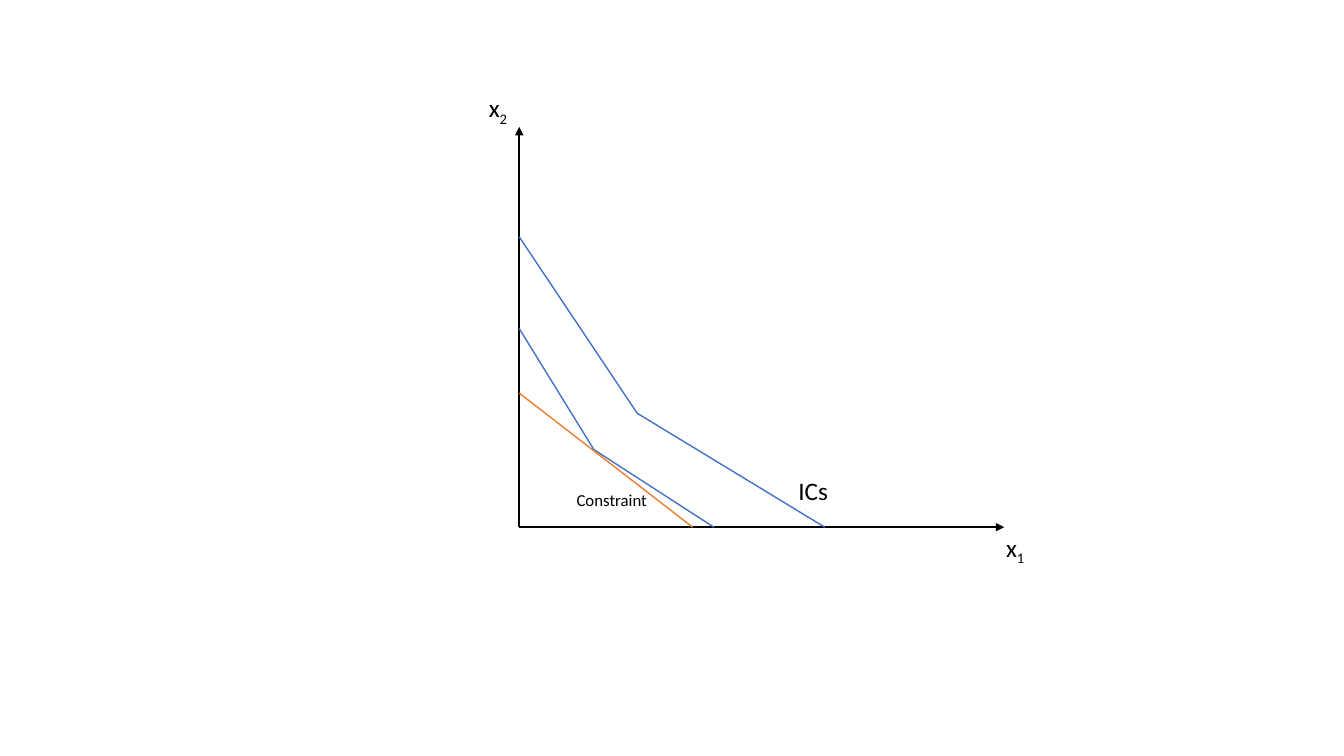
from itertools import pairwise

from lxml import etree
from pptx import Presentation
from pptx import util as u
from pptx.dml.color import RGBColor
from pptx.enum import shapes, text
from pptx.oxml import ns

BLACK = RGBColor(0x00, 0x00, 0x00)
BLUE = RGBColor(0x44, 0x72, 0xC4)
ORANGE = RGBColor(0xED, 0x7D, 0x31)
FONT = "Calibri"

# Content: every curve is a chain of points, in inches
ORIGIN = (5.15, 5.23)
ORIGIN_X, ORIGIN_Y = ORIGIN
AXIS_ENDS = [(ORIGIN_X, 1.26), (9.96, ORIGIN_Y)]
INDIFFERENCE_CURVES = [
    [(ORIGIN_X, 3.26), (5.89, 4.46), (7.08, ORIGIN_Y)],
    [(ORIGIN_X, 2.35), (6.32, 4.1), (8.18, ORIGIN_Y)],
]
CONSTRAINT = [(ORIGIN_X, 3.9), (6.87, ORIGIN_Y)]

# Label text, subscript, (left, top, width, height), size in points
LABELS = [
    ("x", "1", (9.88, 5.23, 0.4, 0.4), 18),
    ("x", "2", (4.75, 0.87, 0.4, 0.4), 18),
    ("ICs", "", (7.82, 4.67, 0.5, 0.4), 18),
    ("Constraint", "", (5.62, 4.81, 0.91, 0.3), 12),
]


def add_line(slide, start, end, color, width=1, arrow=False):
    points = [u.Inches(value) for value in (*start, *end)]
    line = slide.shapes.add_connector(shapes.MSO_CONNECTOR.STRAIGHT, *points)
    line.line.color.rgb = color
    line.line.width = u.Pt(width)
    if arrow:
        outline = line.line._get_or_add_ln()
        etree.SubElement(outline, ns.qn("a:tailEnd"), type="triangle")
    etree.SubElement(line._element.spPr, ns.qn("a:effectLst"))


def add_label(slide, wording, area, size=18, subscript="", color=BLACK):
    box = slide.shapes.add_textbox(*[u.Inches(value) for value in area])
    frame = box.text_frame
    frame.word_wrap = False
    frame.auto_size = text.MSO_AUTO_SIZE.SHAPE_TO_FIT_TEXT
    para = frame.paragraphs[0]
    for part, baseline in ((wording, None), (subscript, "-25000")):
        if not part:
            continue
        span = para.add_run()
        span.text = part
        span.font.name = FONT
        span.font.size = u.Pt(size)
        span.font.color.rgb = color
        if baseline:
            span._r.get_or_add_rPr().set("baseline", baseline)


def main():
    deck = Presentation()
    deck.slide_width, deck.slide_height = u.Inches(13.33), u.Inches(7.5)
    slide = deck.slides.add_slide(deck.slide_layouts[6])

    # Axes
    for end in AXIS_ENDS:
        add_line(slide, ORIGIN, end, BLACK, width=1.5, arrow=True)

    # Indifference curves and the budget constraint
    for curve in INDIFFERENCE_CURVES:
        for start, end in pairwise(curve):
            add_line(slide, start, end, BLUE)
    add_line(slide, *CONSTRAINT, ORANGE)

    # Labels
    for wording, subscript, area, size in LABELS:
        add_label(slide, wording, area, size=size, subscript=subscript)

    deck.save("out.pptx")


if __name__ == "__main__":
    main()
